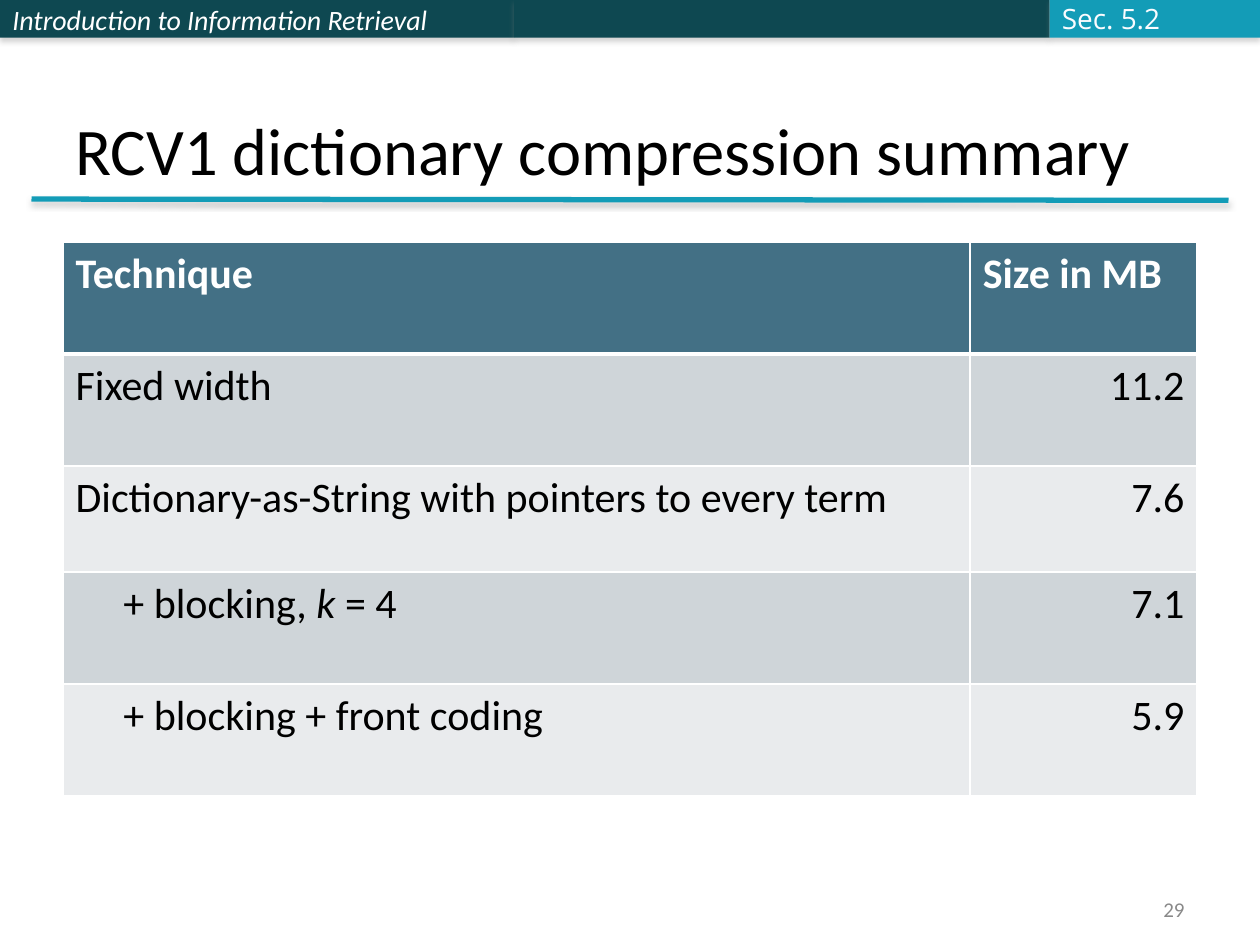
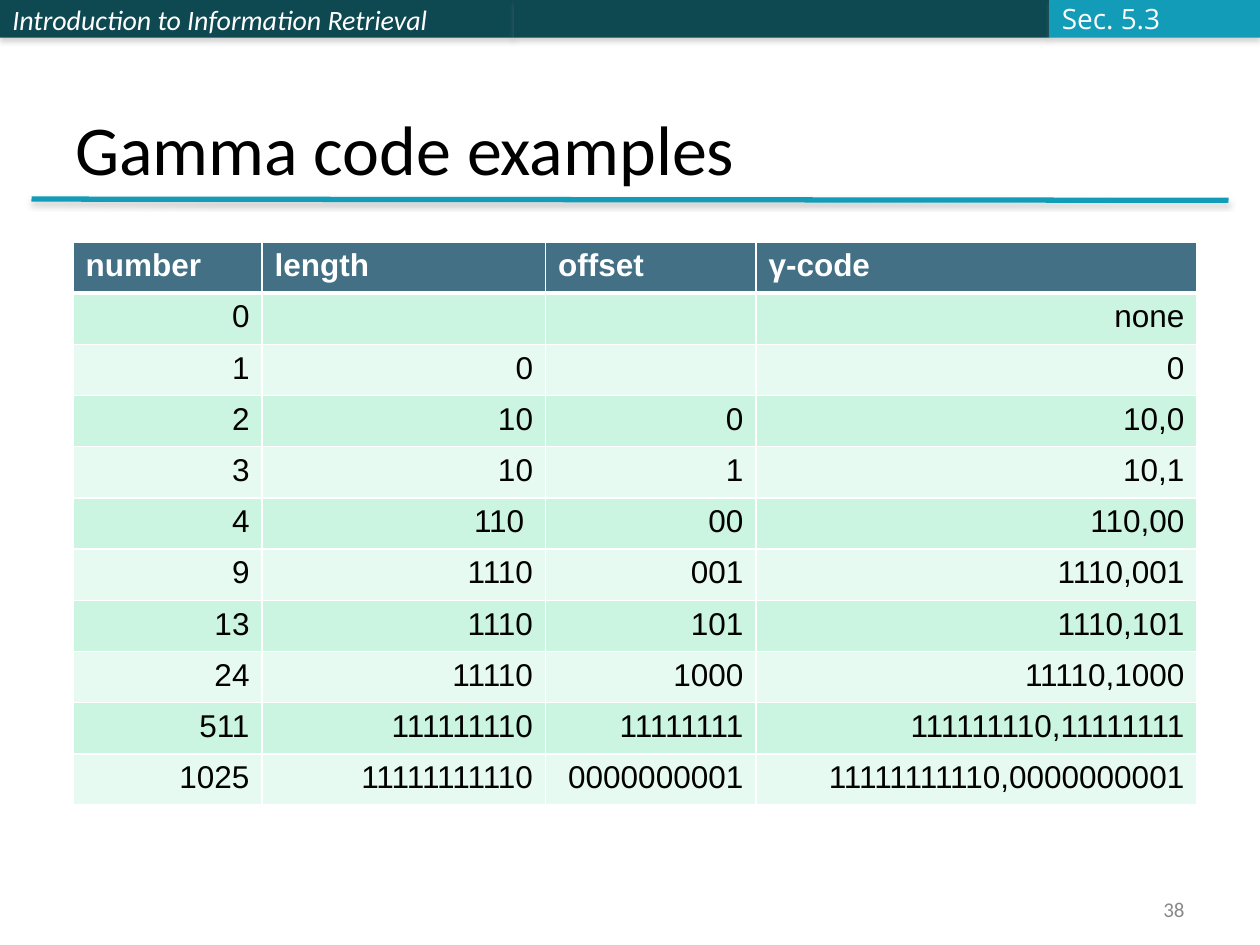
from pptx import Presentation
from pptx.dml.color import RGBColor
from pptx.enum.shapes import MSO_CONNECTOR, MSO_SHAPE
from pptx.enum.text import MSO_ANCHOR, PP_ALIGN
from pptx.oxml import parse_xml
from pptx.oxml.ns import nsdecls
from pptx.util import Inches, Pt


class Theme:
    dark, teal, head = "0E4851", "139CB7", "437085"
    white, black = "FFFFFF", "000000"
    gray_rows = ("CFD5D9", "E9EBED")
    mint_rows = ("CBF5E1", "E7FAF1")
    course = dict(name="Calibri", size=Pt(16), italic=True, color=white)
    section = dict(name="Open Sans", size=Pt(16), color="FBFCFF")
    title = dict(name="Calibri", size=Pt(40), color=black)
    number = dict(name="Calibri", size=Pt(12), color="898989")
    large = dict(name="Calibri", size=Pt(24), color=black)
    small = dict(name="Arial", size=Pt(18), color=black)
    heading = dict(bold=True, color=white)


LEFT, RIGHT = PP_ALIGN.LEFT, PP_ALIGN.RIGHT
STEP = Inches(0.38)  # indent of a sub-technique


# Text
def style(font, form):
    for key, value in form.items():
        if key == "color":
            font.color.rgb = RGBColor.from_string(value)
        else:
            setattr(font, key, value)


def write(frame, runs, form, align=LEFT):
    """Fill a frame with one paragraph; runs is a string or (text, format) pairs."""
    para = frame.paragraphs[0]
    para.alignment = align
    for text, extra in [(runs, {})] if isinstance(runs, str) else runs:
        run = para.add_run()
        run.text = text
        style(run.font, {**form, **extra})
    return para


def add_text(slide, box, text, form, anchor=MSO_ANCHOR.MIDDLE, align=LEFT, wrap=True):
    frame = slide.shapes.add_textbox(*map(Inches, box)).text_frame
    frame.word_wrap = wrap
    frame.vertical_anchor = anchor
    write(frame, text, form, align)


# Bands and rule
def add_shade(shape, alpha):
    shape._element.spPr.append(parse_xml(
        f'<a:effectLst {nsdecls("a")}><a:outerShdw blurRad="{Pt(3.1)}" dist="{Pt(1.8)}"'
        f' dir="5400000" rotWithShape="0"><a:srgbClr val="808080">'
        f'<a:alpha val="{alpha * 1000}"/></a:srgbClr></a:outerShdw></a:effectLst>'))


def add_band(slide, left, width, color):
    band = slide.shapes.add_shape(
        MSO_SHAPE.RECTANGLE, *map(Inches, (left, 0, width, 0.3)))
    band.fill.solid()
    band.fill.fore_color.rgb = RGBColor.from_string(color)
    band.line.fill.background()
    add_shade(band, 35)
    return band


def add_rule(slide):
    rule = slide.shapes.add_connector(
        MSO_CONNECTOR.STRAIGHT, *map(Inches, (0.25, 1.58, 9.75, 1.59)))
    rule.line.color.rgb = RGBColor.from_string(Theme.teal)
    rule.line.width = Pt(3)
    add_shade(rule, 38)


def add_frame(deck, title, section, number, size=Theme.title["size"]):
    """Add a slide with the bands, title and footer that all slides share."""
    slide = deck.slides.add_slide(deck.slide_layouts[6])
    first = add_band(slide, 0, 4.08, Theme.dark).text_frame
    first.vertical_anchor = MSO_ANCHOR.MIDDLE
    write(first, "Introduction to Information Retrieval", Theme.course)
    add_band(slide, 4.08, 4.25, Theme.dark)
    add_band(slide, 8.33, 1.67, Theme.teal)
    add_rule(slide)
    add_text(slide, (0.5, 0.3, 9, 1.25), title, {**Theme.title, "size": size},
             MSO_ANCHOR.BOTTOM)
    add_text(slide, (8.33, -0.04, 1.06, 0.37), section, Theme.section, wrap=False)
    add_text(slide, (7.17, 7.08, 2.33, 0.27), number, Theme.number, align=RIGHT)
    return slide


# Tables
def add_edges(cell, top, bottom):
    props = cell._tc.get_or_add_tcPr()
    for spot, (side, width) in enumerate(dict(L=1, R=1, T=top, B=bottom).items()):
        props.insert(spot, parse_xml(
            f'<a:ln{side} {nsdecls("a")} w="{Pt(width)}"><a:solidFill>'
            f'<a:srgbClr val="{Theme.white}"/></a:solidFill></a:ln{side}>'))


def add_grid(slide, left, widths, heights, rows, form, fills, aligns):
    grid = slide.shapes.add_table(
        len(rows), len(widths),
        *map(Inches, (left, 1.92, sum(widths), sum(heights)))).table
    grid.horz_banding = False
    for col, width in zip(grid.columns, widths):
        col.width = Inches(width)
    for y, (row, height) in enumerate(zip(rows, heights)):
        grid.rows[y].height = Inches(height)
        look = {**form, **Theme.heading} if y == 0 else {**form, "bold": False}
        fill = Theme.head if y == 0 else fills[(y - 1) % 2]
        for x, runs in enumerate(row):
            cell = grid.cell(y, x)
            cell.fill.solid()
            cell.fill.fore_color.rgb = RGBColor.from_string(fill)
            add_edges(cell, 3 if y == 1 else 1, 3 if y == 0 else 1)
            if runs:
                para = write(cell.text_frame, runs, look, aligns[x] if y else LEFT)
                if para.text.startswith("+"):
                    para._p.get_or_add_pPr().set("marL", str(STEP))


SIZES = [
    ("Technique", "Size in MB"),
    ("Fixed width", "11.2"),
    ("Dictionary-as-String with pointers to every term", "7.6"),
    ([("+ blocking, ", {}), ("k ", {"italic": True}), ("= 4", {})], "7.1"),
    ("+ blocking + front coding", "5.9"),
]

CODES = [
    ("number", "length", "offset", "γ-code"),
    ("0", "", "", "none"),
    ("1", "0", "", "0"),
    ("2", "10", "0", "10,0"),
    ("3", "10", "1", "10,1"),
    ("4", "110 ", "00", "110,00"),
    ("9", "1110", "001", "1110,001"),
    ("13", "1110", "101", "1110,101"),
    ("24", "11110", "1000", "11110,1000"),
    ("511", "111111110", "11111111", "111111110,11111111"),
    ("1025", "11111111110", "0000000001", "11111111110,0000000001"),
]


def main():
    deck = Presentation()
    deck.slide_width, deck.slide_height = Inches(10), Inches(7.5)

    # Dictionary sizes
    slide = add_frame(deck, "RCV1 dictionary compression summary", "Sec. 5.2", "29", Pt(38))
    add_grid(slide, 0.5, (7.2, 1.8), (0.89, 0.89, 0.84, 0.89, 0.89), SIZES,
             Theme.large, Theme.gray_rows, (LEFT, RIGHT))

    # Gamma codes
    slide = add_frame(deck, "Gamma code examples", "Sec. 5.3", "38")
    add_grid(slide, 0.58, (1.5, 2.25, 1.67, 3.5), [4.47 / len(CODES)] * len(CODES), CODES,
             Theme.small, Theme.mint_rows, [RIGHT] * 4)

    deck.save("out.pptx")


if __name__ == "__main__":
    main()
